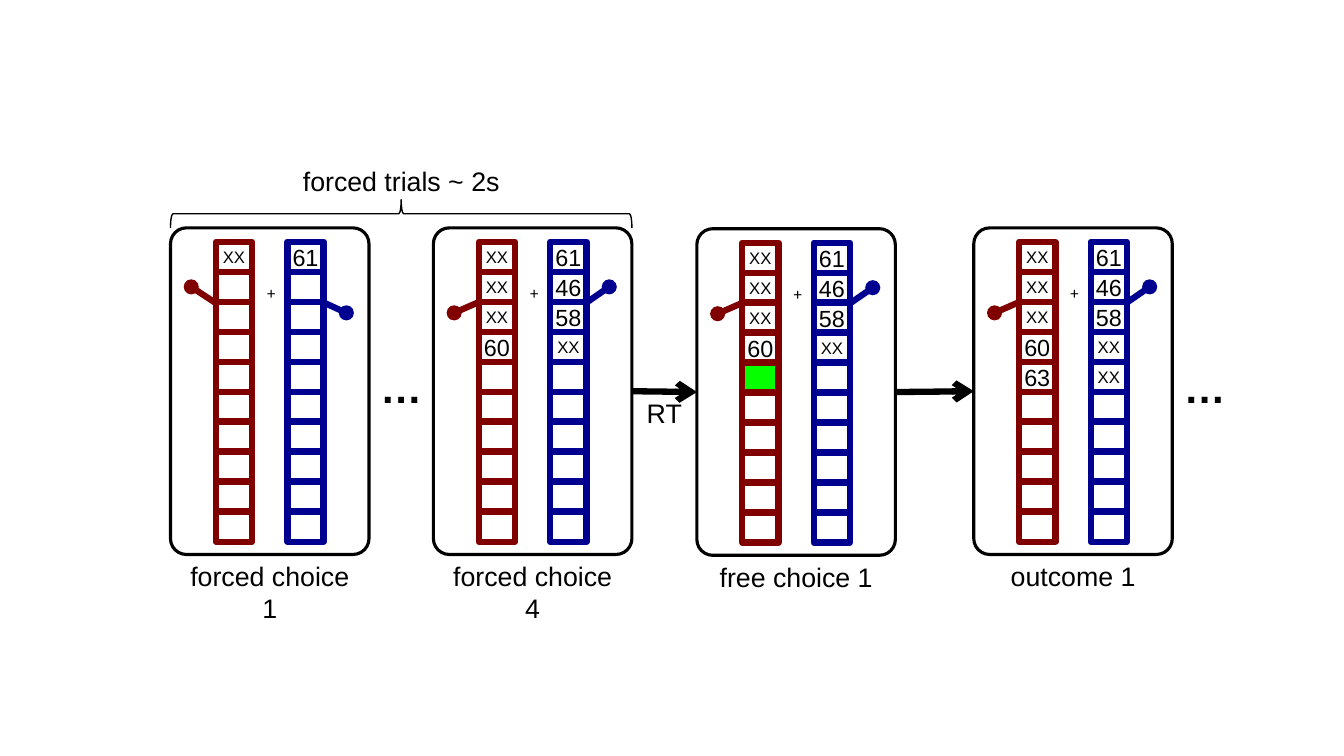
from lxml import etree
from pptx import Presentation
from pptx.dml.color import RGBColor
from pptx.enum.shapes import MSO_CONNECTOR, MSO_SHAPE
from pptx.enum.text import MSO_ANCHOR, PP_ALIGN
from pptx.oxml.ns import qn
from pptx.util import Pt

STRAIGHT = MSO_CONNECTOR.STRAIGHT
RECTANGLE = MSO_SHAPE.RECTANGLE
ROUNDED = MSO_SHAPE.ROUNDED_RECTANGLE
OVAL = MSO_SHAPE.OVAL
BRACE = MSO_SHAPE.RIGHT_BRACE
CENTER = PP_ALIGN.CENTER
MIDDLE = MSO_ANCHOR.MIDDLE
TOP = MSO_ANCHOR.TOP

BLACK, RED, BLUE, GREEN = "000000", "800000", "000090", "06FF00"
PANEL_WIDTH, PANEL_HEIGHT = 141.8, 233.3
CELL_WIDTH, CELL_HEIGHT, CELL_PITCH, CELL_COUNT = 25.9, 21.6, 21.4, 10
BALL = 10.8
LEVER_HEIGHTS = {"up": 42.1, "down": 60.7}
MASK = "XX"


def color(value):
    return RGBColor.from_string(value)


def write(shape, text, size, font="Arial", bold=False, anchor=TOP, wrap=True):
    frame = shape.text_frame
    frame.word_wrap = wrap
    frame.vertical_anchor = anchor
    para = frame.paragraphs[0]
    para.text = text
    para.alignment = CENTER
    para.font.size = Pt(size)
    para.font.name = font
    para.font.bold = bold
    para.font.color.rgb = color(BLACK)


def add_label(shapes, box, text, size=19.1, **style):
    label = shapes.add_textbox(*map(Pt, box))
    write(label, text, size, **style)


def add_outline(shapes, kind, box, fill=None, line=None, width=4.5):
    shape = shapes.add_shape(kind, *map(Pt, box))
    shape.shadow.inherit = False
    if fill:
        shape.fill.solid()
        shape.fill.fore_color.rgb = color(fill)
    else:
        shape.fill.background()
    if line:
        shape.line.color.rgb = color(line)
        shape.line.width = Pt(width)
    else:
        shape.line.fill.background()
    return shape


def add_line(shapes, start, end, line):
    connector = shapes.add_connector(STRAIGHT, *map(Pt, start + end))
    connector.line.color.rgb = color(line)
    connector.line.width = Pt(4.5)
    etree.SubElement(connector._element.spPr, qn("a:effectLst"))
    return connector


def add_bandit(shapes, left, top, line, values, chosen=None):
    for row in range(CELL_COUNT):
        box = (left, top + row * CELL_PITCH, CELL_WIDTH, CELL_HEIGHT)
        fill = GREEN if row == chosen else None
        cell = add_outline(shapes, RECTANGLE, box, fill, line)
        if row < len(values):
            size = 11.9 if values[row] == MASK else 16.7
            write(cell, values[row], size, anchor=MIDDLE, wrap=False)


def add_lever(shapes, start, center, line):
    add_line(shapes, start, center, line)
    x, y = center
    add_outline(shapes, OVAL, (x - BALL / 2, y - BALL / 2, BALL, BALL), line)


def add_panel(page, left, top, caption, levers, red, blue, chosen=None):
    group = page.shapes.add_group_shape()
    group.name = caption
    shapes = group.shapes
    add_label(shapes, (left + 62, top + 36, 17.3, 21.6), "+", 11.9,
              font="Calibri", wrap=False)
    frame = add_outline(shapes, ROUNDED, (left, top, PANEL_WIDTH, PANEL_HEIGHT),
                        line=BLACK, width=2.25)
    frame.adjustments[0] = 0.08
    sides = ((31.7, 14.8, RED), (109.4, 125.6, BLUE))
    for (start, end, line), lever in zip(sides, levers):
        add_lever(shapes, (left + start, top + 53.3),
                  (left + end, top + LEVER_HEIGHTS[lever]), line)
    add_bandit(shapes, left + 32.4, top + 10, RED, red, chosen)
    add_bandit(shapes, left + 83.5, top + 10, BLUE, blue)
    add_label(page.shapes, (left, top + PANEL_HEIGHT, PANEL_WIDTH, 30.2), caption)
    return frame


def add_arrow(page, source, target):
    arrow = add_line(page.shapes, (0, 0), (0, 0), BLACK)
    arrow.begin_connect(source, 3)
    arrow.end_connect(target, 1)
    etree.SubElement(arrow.line._get_or_add_ln(), qn("a:tailEnd"), type="arrow")


def add_bracket(page, left, top, width, text):
    add_label(page.shapes, (left, top, width, 30.2), text)
    depth = 20.2
    center_x, center_y = left + width / 2, top + 38.2
    brace = add_outline(page.shapes, BRACE,
                        (center_x - depth / 2, center_y - width / 2, depth, width),
                        line=BLACK, width=1)
    brace.rotation = 270


def main():
    deck = Presentation()
    deck.slide_width, deck.slide_height = Pt(960), Pt(540)
    page = deck.slides.add_slide(deck.slide_layouts[6])

    red = [MASK, MASK, MASK, "60"]
    blue = ["61", "46", "58", MASK]
    panels = [
        (121.8, 162.8, "forced choice 1", ("up", "down"), [MASK], ["61"]),
        (309.6, 162.8, "forced choice 4", ("down", "up"), red, blue),
        (497.8, 163.4, "free choice 1", ("down", "up"), red, blue, 4),
        (695.6, 162.8, "outcome 1", ("down", "up"), red + ["63"], blue + [MASK]),
    ]
    frames = [add_panel(page, *panel) for panel in panels]

    for source, target in zip(frames[1:], frames[2:]):
        add_arrow(page, source, target)
    add_label(page.shapes, (452.2, 280.1, 44.6, 30.2), "RT")
    for left in (263.5, 837.4):
        add_label(page.shapes, (left, 255.2, 46.1, 43.2), "…", 29.8, bold=True)
    add_bracket(page, 121.8, 114.5, 329.6, "forced trials ~ 2s")

    deck.save("out.pptx")


if __name__ == "__main__":
    main()
